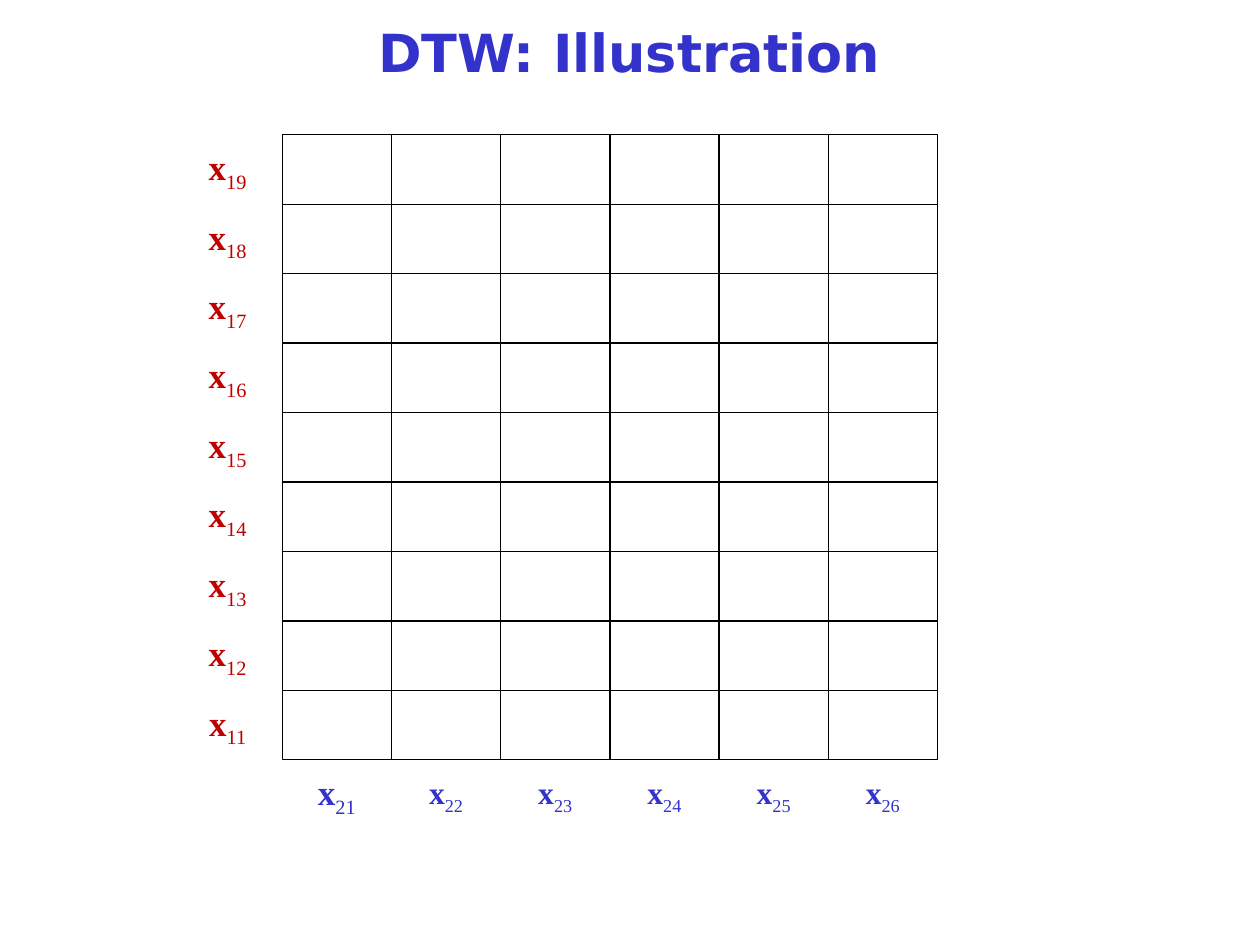
"""Build the DTW illustration slide: an empty alignment grid with labelled axes."""
from pptx import Presentation
from pptx.dml.color import RGBColor
from pptx.enum.shapes import MSO_SHAPE
from pptx.enum.text import MSO_ANCHOR, PP_ALIGN
from pptx.util import Inches, Pt

RECTANGLE = MSO_SHAPE.RECTANGLE
MIDDLE = MSO_ANCHOR.MIDDLE
CENTER = PP_ALIGN.CENTER

BLUE, RED, BLACK = "3333CC", "C00000", "000000"
COLUMNS, ROWS = 6, 9
GRID_LEFT, GRID_TOP = 2.24, 1.07
CELL_WIDTH, CELL_HEIGHT = 5.2 / COLUMNS, 4.96 / ROWS


def color(hex_string):
    return RGBColor.from_string(hex_string)


def add_label(group, column, row, subscript, size, hex_string):
    box = group.shapes.add_textbox(
        Inches(GRID_LEFT + column * CELL_WIDTH), Inches(GRID_TOP + row * CELL_HEIGHT),
        Inches(CELL_WIDTH), Inches(CELL_HEIGHT))
    box.text_frame.word_wrap = True
    box.text_frame.vertical_anchor = MIDDLE
    paragraph = box.text_frame.paragraphs[0]
    paragraph.alignment = CENTER
    for text, bold in (("x", True), (str(subscript), False)):
        run = paragraph.add_run()
        run.text = text
        run.font.name = "Times New Roman"
        run.font.size = Pt(size)
        run.font.bold = bold
        run.font.color.rgb = color(hex_string)
    run._r.get_or_add_rPr().set("baseline", "-25000")


presentation = Presentation()
presentation.slide_width = Inches(10)
presentation.slide_height = Inches(7.5)
slide = presentation.slides.add_slide(presentation.slide_layouts[5])

title = slide.shapes.title
title.left, title.top = Inches(0.5), Inches(0.08)
title.width, title.height = Inches(8.99), Inches(0.75)
title.text_frame.text = "DTW: Illustration"
title.text_frame.vertical_anchor = MIDDLE
paragraph = title.text_frame.paragraphs[0]
paragraph.alignment = CENTER
paragraph.line_spacing = 0.81
paragraph.font.name = "DejaVu Sans"
paragraph.font.size = Pt(30)
paragraph.font.bold = True
paragraph.font.color.rgb = color(BLUE)

for column in range(COLUMNS):
    for row in range(ROWS):
        cell = slide.shapes.add_shape(
            RECTANGLE,
            Inches(GRID_LEFT + column * CELL_WIDTH), Inches(GRID_TOP + row * CELL_HEIGHT),
            Inches(CELL_WIDTH), Inches(CELL_HEIGHT))
        cell.shadow.inherit = False
        cell.fill.background()
        cell.line.color.rgb = color(BLACK)
        cell.line.width = Pt(0.75)

horizontal_axis = slide.shapes.add_group_shape()
for column in range(COLUMNS):
    add_label(horizontal_axis, column, ROWS, 21 + column, 20 if column == 0 else 18, BLUE)

vertical_axis = slide.shapes.add_group_shape()
for row in range(ROWS):
    add_label(vertical_axis, -1, row, 19 - row, 20, RED)

presentation.save("out.pptx")
